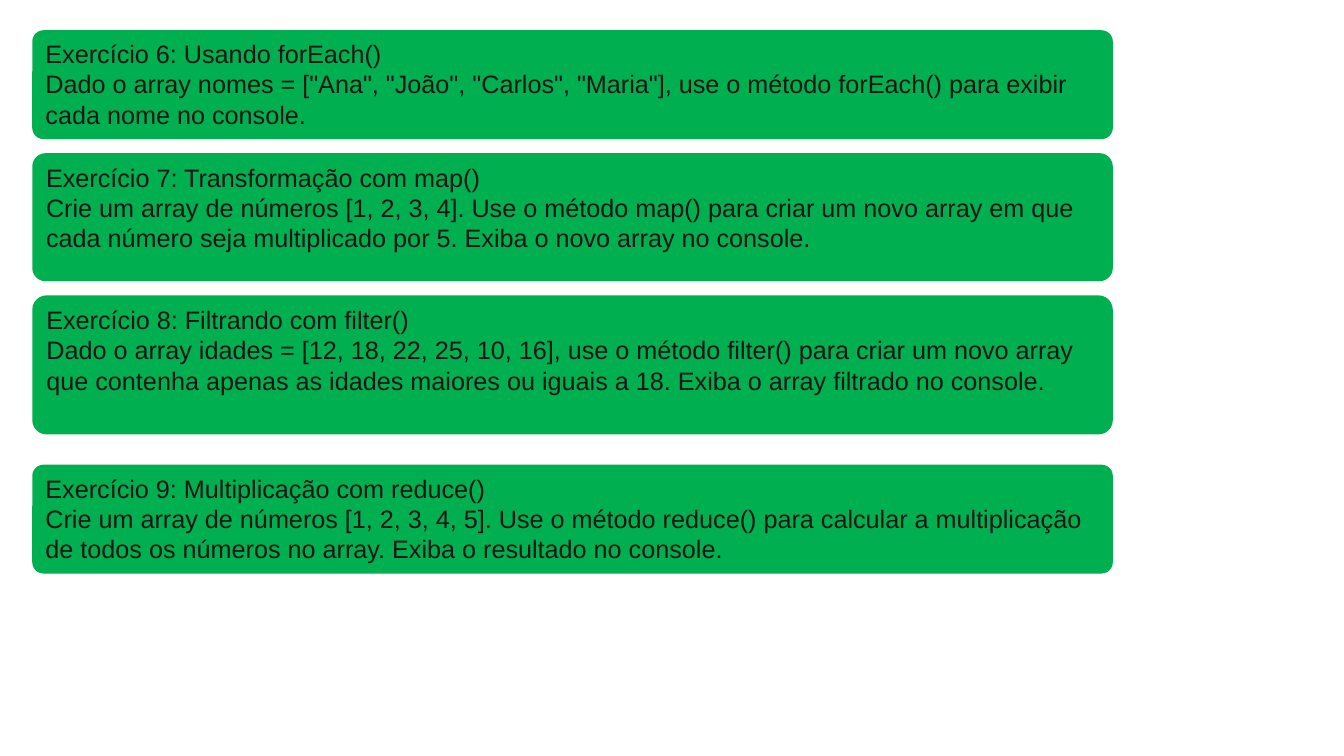
from dataclasses import dataclass

from pptx import Presentation
from pptx import util as u
from pptx.dml.color import RGBColor
from pptx.enum import shapes, text


@dataclass(frozen=True)
class Theme:
    card: RGBColor = RGBColor(0x00, 0xB0, 0x50)
    ink: RGBColor = RGBColor(0x1A, 0x16, 0x15)
    font: str = "Arial"
    size: int = 18


theme = Theme()


def write(frame, lines, *, font, size, color):
    frame.word_wrap = True
    frame.vertical_anchor = text.MSO_ANCHOR.TOP
    frame.text = "\n".join(lines)
    for para in frame.paragraphs:
        para.alignment = text.PP_ALIGN.LEFT
        para.font.name = font
        para.font.size = u.Pt(size)
        para.font.color.rgb = color


deck = Presentation()
deck.slide_width, deck.slide_height = u.Pt(960), u.Pt(540)
slide = deck.slides.add_slide(deck.slide_layouts[6])

left, width, corner = 23.04, 771.84, 0.103

# top, height, title, task
tasks = [
    (21.6, 77.76, "Exercício 6: Usando forEach()",
     'Dado o array nomes = ["Ana", "João", "Carlos", "Maria"], use o método '
     "forEach() para exibir cada nome no console."),
    (109.44, 91.44, "Exercício 7: Transformação com map()",
     "Crie um array de números [1, 2, 3, 4]. Use o método map() para criar um novo "
     "array em que cada número seja multiplicado por 5. Exiba o novo array no console."),
    (210.96, 99.36, "Exercício 8: Filtrando com filter()",
     "Dado o array idades = [12, 18, 22, 25, 10, 16], use o método filter() para "
     "criar um novo array que contenha apenas as idades maiores ou iguais a 18. "
     "Exiba o array filtrado no console."),
    (331.92, 77.76, "Exercício 9: Multiplicação com reduce()",
     "Crie um array de números [1, 2, 3, 4, 5]. Use o método reduce() para calcular a "
     "multiplicação de todos os números no array. Exiba o resultado no console."),
]

for top, height, title, task in tasks:
    card = slide.shapes.add_shape(
        shapes.MSO_SHAPE.ROUNDED_RECTANGLE,
        u.Pt(left), u.Pt(top), u.Pt(width), u.Pt(height))
    card.adjustments[0] = corner
    card.shadow.inherit = False
    card.fill.solid()
    card.fill.fore_color.rgb = theme.card
    card.line.fill.background()
    write(card.text_frame, [title, task],
          font=theme.font, size=theme.size, color=theme.ink)

deck.save("out.pptx")
